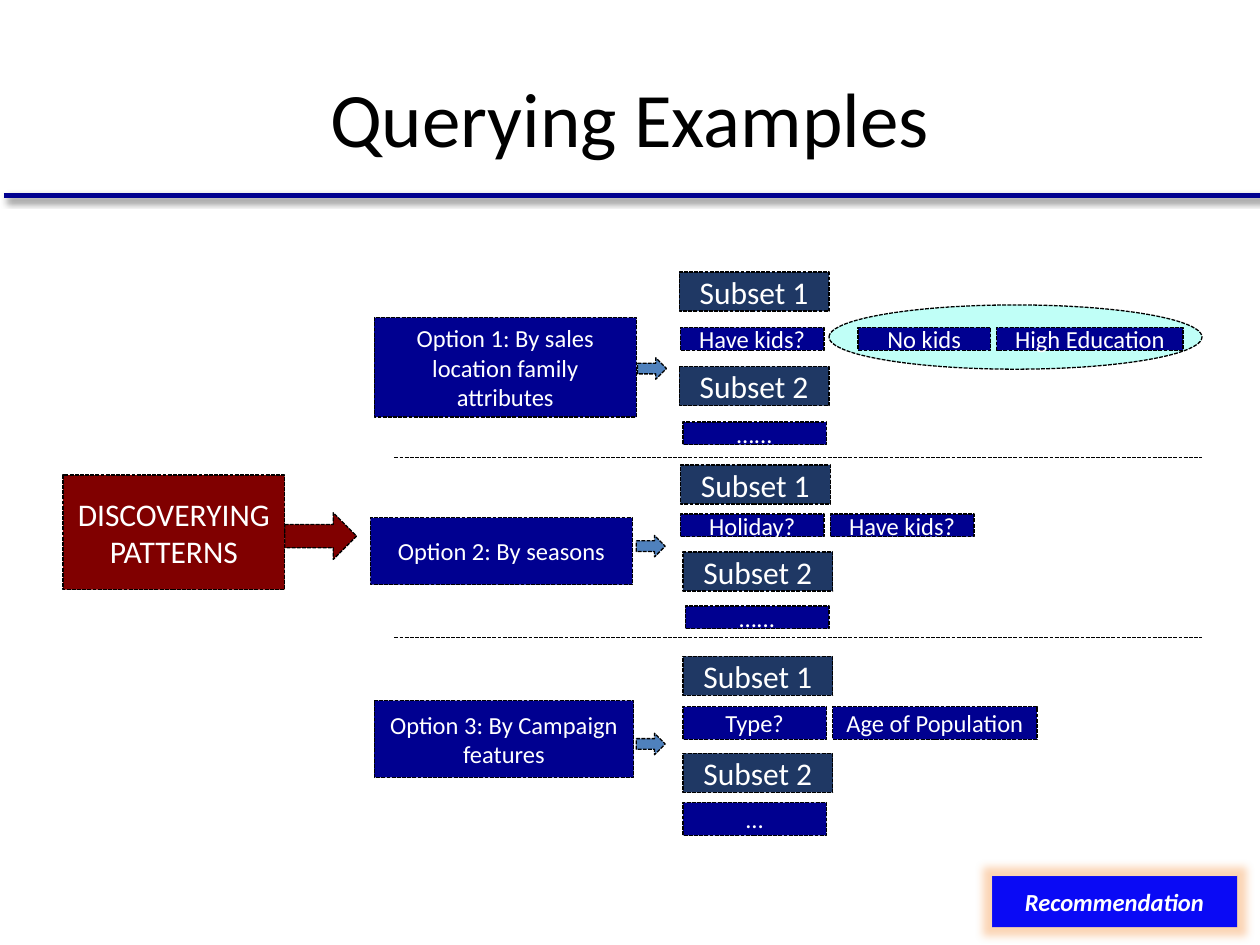
"""Builds the Querying Examples slide: three ways to discover patterns."""
from lxml import etree
from pptx import Presentation
from pptx.dml.color import RGBColor
from pptx.enum.dml import MSO_LINE
from pptx.enum.shapes import MSO_CONNECTOR, MSO_SHAPE
from pptx.enum.text import MSO_ANCHOR, PP_ALIGN
from pptx.oxml import parse_xml
from pptx.oxml.ns import nsdecls
from pptx.util import Inches, Pt

COLORS = {
    "black": "000000", "white": "FFFFFF", "navy": "000090", "slate": "1F3864",
    "maroon": "800000", "steel": "4F81BD", "aqua": "C0FFF7", "blue": "0A0AF5",
    "glow": "F79646",
}

deck = Presentation()
deck.slide_width, deck.slide_height = Inches(10), Inches(7.5)
slide = deck.slides.add_slide(deck.slide_layouts[5])


def add_box(kind, place, fill, text="", size=14, dashed=True, **style):
    box = slide.shapes.add_shape(kind, *map(Inches, place))
    box.shadow.inherit = False
    box.fill.solid()
    box.fill.fore_color.rgb = RGBColor.from_string(COLORS[fill])
    if dashed:
        box.line.color.rgb = RGBColor.from_string(COLORS["black"])
        box.line.width = Pt(0.75)
        box.line.dash_style = MSO_LINE.SQUARE_DOT
    else:
        box.line.fill.background()
    if text:
        frame = box.text_frame
        frame.word_wrap = True
        frame.vertical_anchor = MSO_ANCHOR.MIDDLE
        paragraph = frame.paragraphs[0]
        paragraph.alignment = PP_ALIGN.CENTER
        run = paragraph.add_run()
        run.text = text
        for name, value in {"name": "Calibri", "size": Pt(size), **style}.items():
            setattr(run.font, name, value)
        run.font.color.rgb = RGBColor.from_string(COLORS["white"])
    return box


def add_rule(left, right, y, color, width):
    rule = slide.shapes.add_connector(
        MSO_CONNECTOR.STRAIGHT, Inches(left), Inches(y), Inches(right), Inches(y))
    rule.line.color.rgb = RGBColor.from_string(COLORS[color])
    rule.line.width = Pt(width)
    effects = parse_xml(f"<a:effectLst {nsdecls('a')}/>")
    rule._element.spPr.append(effects)
    return rule, effects


title = slide.shapes.title
title.left, title.top, title.width, title.height = map(Inches, (0.5, 0.3, 9, 1.25))
title.text_frame.text = "Querying Examples"
title.text_frame.vertical_anchor = MSO_ANCHOR.MIDDLE
heading = title.text_frame.paragraphs[0]
heading.alignment = PP_ALIGN.CENTER
for name, value in {"name": "Calibri", "size": Pt(44)}.items():
    setattr(heading.runs[0].font, name, value)
heading.runs[0].font.color.rgb = RGBColor.from_string(COLORS["black"])

title_rule, title_effects = add_rule(0.03, 10, 1.55, "navy", 3)
title_effects.append(parse_xml(
    f'<a:outerShdw {nsdecls("a")} blurRad="{Pt(4)}" dist="{Pt(3)}" dir="2700000">'
    f'<a:srgbClr val="{COLORS["black"]}"><a:alpha val="40000"/></a:srgbClr></a:outerShdw>'))

add_box(MSO_SHAPE.RECTANGLE, (0.5, 3.77, 1.76, 0.91), "maroon", "DISCOVERYING PATTERNS", 18)
add_box(MSO_SHAPE.RIGHT_ARROW, (2.26, 4.07, 0.57, 0.37), "maroon")
add_box(MSO_SHAPE.OVAL, (6.58, 2.42, 2.96, 0.51), "aqua")

options = [
    ("Option 1: By sales location family attributes", (2.97, 2.52, 2.08, 0.79), (5.06, 2.84),
     [(5.39, 2.16), (5.39, 2.91)], 0.18,
     [("Have kids?", 5.4, 2.6, 1.14), ("No kids", 6.81, 2.6, 1.05),
      ("High Education", 7.91, 2.6, 1.48), ("\u2026...", 5.42, 3.35, 1.14)]),
    ("Option 2: By seasons", (2.94, 4.11, 2.08, 0.53), (5.05, 4.25),
     [(5.4, 3.69), (5.42, 4.38)], 0.18,
     [("Holiday?", 5.4, 4.08, 1.14), ("Have kids?", 6.59, 4.08, 1.14),
      ("\u2026...", 5.44, 4.81, 1.14)]),
    ("Option 3: By Campaign features", (2.97, 5.56, 2.06, 0.61), (5.05, 5.82),
     [(5.42, 5.21), (5.42, 5.98)], 0.26,
     [("Type?", 5.42, 5.61, 1.14), ("Age of Population", 6.61, 5.61, 1.62),
      ("\u2026", 5.42, 6.37, 1.14)]),
]
for option, option_place, arrow_corner, subsets, query_height, queries in options:
    add_box(MSO_SHAPE.RECTANGLE, option_place, "navy", option)
    add_box(MSO_SHAPE.RIGHT_ARROW, (*arrow_corner, 0.23, 0.17), "steel")
    for number, corner in enumerate(subsets, 1):
        add_box(MSO_SHAPE.RECTANGLE, (*corner, 1.19, 0.31), "slate", f"Subset {number}", 18)
    for query, left, top, width in queries:
        add_box(MSO_SHAPE.RECTANGLE, (left, top, width, query_height), "navy", query)

for y in (3.63, 5.06):
    divider, _ = add_rule(3.13, 9.54, y, "black", 0.75)
    divider.line.dash_style = MSO_LINE.SQUARE_DOT

recommendation = add_box(MSO_SHAPE.BEVEL, (7.87, 6.95, 1.95, 0.41), "blue",
                         "Recommendation", dashed=False, bold=True, italic=True)
recommendation.adjustments[0] = 0
glow = etree.fromstring(
    f'<a:glow {nsdecls("a")} rad="{Pt(10)}"><a:srgbClr val="{COLORS["glow"]}">'
    '<a:alpha val="40000"/></a:srgbClr></a:glow>')
recommendation._element.spPr.find(
    "{http://schemas.openxmlformats.org/drawingml/2006/main}effectLst").append(glow)

deck.save("out.pptx")
